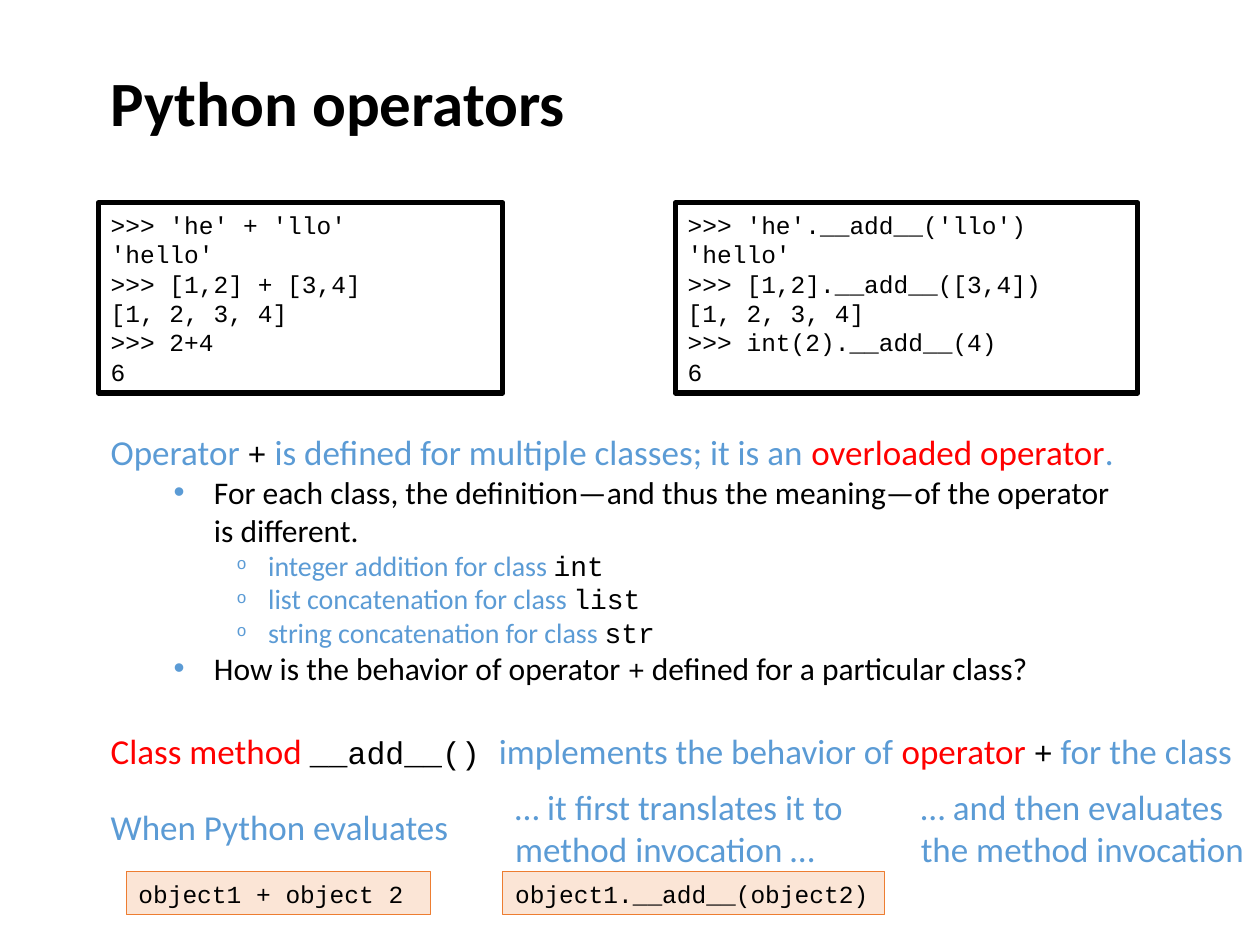
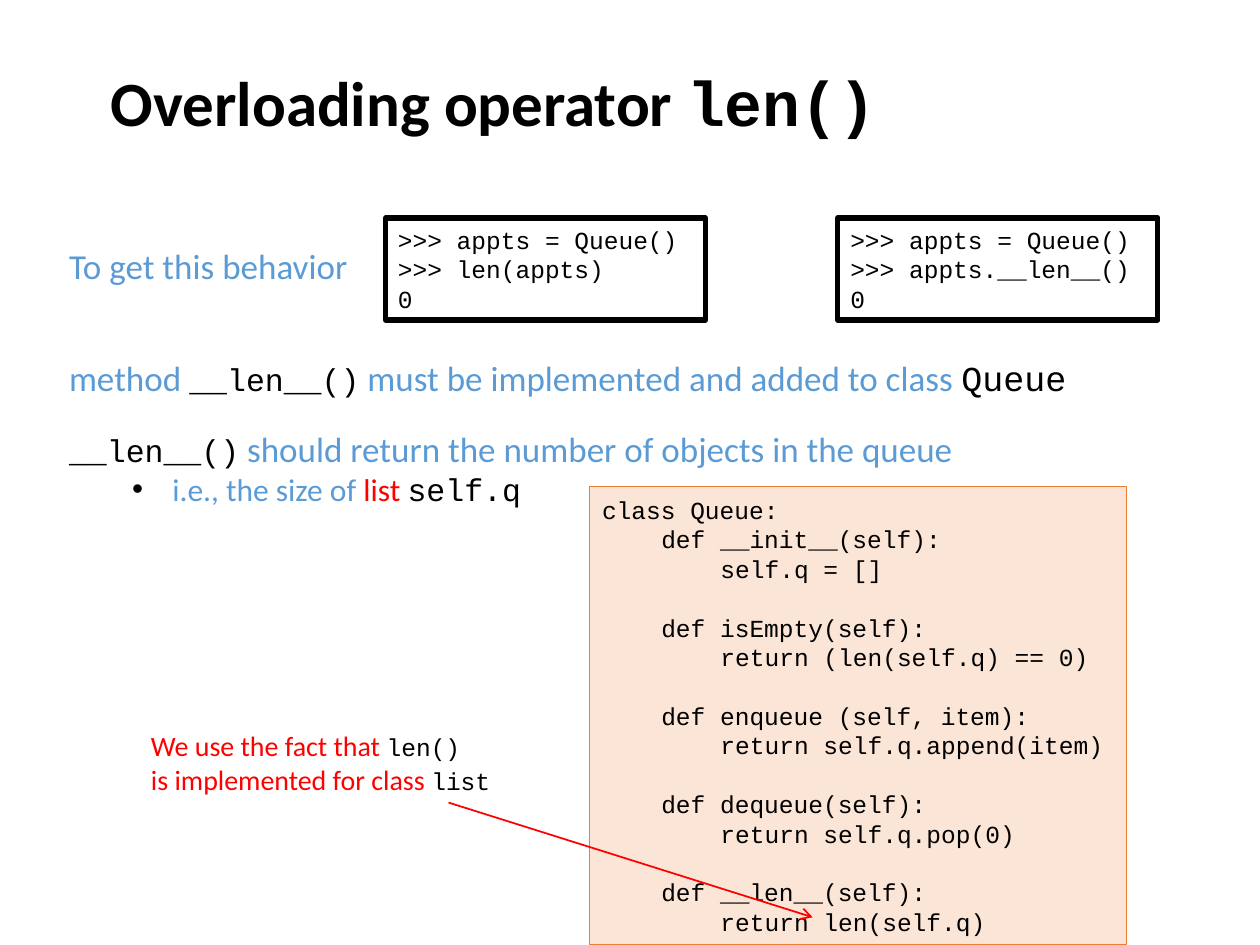
from dataclasses import dataclass, replace

from lxml.etree import SubElement
from pptx import Presentation
from pptx.dml.color import RGBColor
from pptx.enum.shapes import MSO_CONNECTOR, MSO_SHAPE
from pptx.enum.text import MSO_ANCHOR, MSO_AUTO_SIZE, PP_ALIGN
from pptx.oxml.ns import qn
from pptx.util import Emu, Pt

EMU_PER_PX = 9144  # 100 px to the inch

BLACK = RGBColor(0x00, 0x00, 0x00)
WHITE = RGBColor(0xFF, 0xFF, 0xFF)
BLUE = RGBColor(0x5B, 0x9B, 0xD5)
RED = RGBColor(0xFF, 0x00, 0x00)
PEACH = RGBColor(0xFB, 0xE5, 0xD6)
ORANGE = RGBColor(0xED, 0x7D, 0x31)

SANS, MONO = "Calibri", "Courier New"
CODE_STEP = 47  # width of four code characters
CODE_LINE = Pt(16.8)

TITLE_FORMAT = {"vertical_anchor": MSO_ANCHOR.MIDDLE, "word_wrap": True,
                "auto_size": MSO_AUTO_SIZE.NONE}
TEXT_FORMAT = {"vertical_anchor": MSO_ANCHOR.MIDDLE,
               "auto_size": MSO_AUTO_SIZE.SHAPE_TO_FIT_TEXT}


@dataclass(frozen=True)
class Style:
    size: int
    color: RGBColor
    name: str = SANS
    bold: bool = False


@dataclass(frozen=True)
class Bullet:
    level: int
    left: int
    hanging: int
    char: str
    font: str
    color: RGBColor = BLUE
    percent: int = 100


@dataclass(frozen=True)
class Para:
    runs: tuple
    bullet: Bullet | None = None
    indent: int = 0
    before: int = 0


@dataclass(frozen=True)
class Box:
    left: int
    top: int
    width: int
    height: int


@dataclass(frozen=True)
class Panel:
    fill: RGBColor
    line: RGBColor
    weight: float


HEAD = Style(36, BLACK, bold=True)
HEAD_CODE = replace(HEAD, name=MONO)
LEAD, LEAD_KEY = Style(20, BLUE), Style(20, RED)
POINT = Style(18, BLACK)
DETAIL = Style(16, BLUE)
NOTE = Style(16, RED)
CODE14, CODE16, CODE18, CODE20 = (Style(size, BLACK, MONO) for size in (14, 16, 18, 20))

DOT = Bullet(1, 82, 32, "•", "Arial")
BLACK_DOT = replace(DOT, color=BLACK)
RING = Bullet(2, 125, 25, "o", MONO, percent=60)

SHELL = Panel(WHITE, BLACK, 3)
SNIPPET = Panel(PEACH, ORANGE, 0.5)
TITLE_BOX = Box(78, 0, 872, 161)


def px(length: int) -> Emu:
    return Emu(length * EMU_PER_PX)


def place(box: Box) -> tuple:
    return px(box.left), px(box.top), px(box.width), px(box.height)


def add_bullet(paragraph, bullet: Bullet) -> None:
    paragraph.level = bullet.level
    props = paragraph._p.get_or_add_pPr()
    props.set("marL", str(px(bullet.left)))
    props.set("indent", str(px(-bullet.hanging)))
    tint = SubElement(props, qn("a:buClr"))
    SubElement(tint, qn("a:srgbClr"), val=str(bullet.color))
    SubElement(props, qn("a:buSzPct"), val=str(bullet.percent * 1000))
    SubElement(props, qn("a:buFont"), typeface=bullet.font)
    SubElement(props, qn("a:buChar"), char=bullet.char)


def write(frame, paras: list[Para], frame_format: dict) -> None:
    for name, value in frame_format.items():
        setattr(frame, name, value)
    for index, para in enumerate(paras):
        paragraph = frame.add_paragraph() if index else frame.paragraphs[0]
        paragraph.alignment = PP_ALIGN.LEFT
        if para.before:
            paragraph.space_before = para.before
        if para.indent:
            paragraph._p.get_or_add_pPr().set("marL", str(px(para.indent)))
        if para.bullet:
            add_bullet(paragraph, para.bullet)
        for text, style in para.runs:
            run = paragraph.add_run()
            run.text = text
            font = run.font
            font.color.rgb = style.color
            for name, value in {"name": style.name, "size": Pt(style.size),
                                "bold": style.bold}.items():
                setattr(font, name, value)


def line(*runs: tuple, bullet: Bullet | None = None) -> Para:
    return Para(runs, bullet)


def code(*rows: str | tuple[int, str]) -> list[Para]:
    """Indent (depth, text) rows, and open a gap before each later 'def'."""
    paras = []
    for index, row in enumerate(rows):
        depth, text = (0, row) if isinstance(row, str) else row
        gap = CODE_LINE if index > 1 and text.startswith("def ") else 0
        paras.append(Para(((text, CODE14),), indent=depth * CODE_STEP, before=gap))
    return paras


def add_titled_slide(deck, *runs: tuple):
    slide = deck.slides.add_slide(deck.slide_layouts[5])
    title = slide.shapes.title
    title.left, title.top, title.width, title.height = place(TITLE_BOX)
    write(title.text_frame, [line(*runs)], TITLE_FORMAT)
    return slide


def add_text(slide, box: Box, *paras: Para, wrap: bool = False) -> None:
    frame = slide.shapes.add_textbox(*place(box)).text_frame
    write(frame, list(paras), TEXT_FORMAT | {"word_wrap": wrap})


def add_panel(slide, box: Box, panel: Panel, paras: list[Para]) -> None:
    shape = slide.shapes.add_shape(MSO_SHAPE.RECTANGLE, *place(box))
    shape.shadow.inherit = False
    shape.fill.solid()
    shape.fill.fore_color.rgb = panel.fill
    shape.line.color.rgb = panel.line
    shape.line.width = Pt(panel.weight)
    write(shape.text_frame, paras, TEXT_FORMAT | {"word_wrap": True})


def add_arrow(slide, start: tuple[int, int], end: tuple[int, int]) -> None:
    arrow = slide.shapes.add_connector(MSO_CONNECTOR.STRAIGHT, *map(px, start + end))
    arrow.line.color.rgb = RED
    arrow.line.width = Pt(1)
    SubElement(arrow.line._get_or_add_ln(), qn("a:tailEnd"), type="arrow")
    SubElement(arrow._element.spPr, qn("a:effectLst"))


def build_operators(deck) -> None:
    slide = add_titled_slide(deck, ("Python operators", HEAD))
    add_panel(slide, Box(78, 161, 321, 151), SHELL, code(
        ">>> 'he' + 'llo'", "'hello'", ">>> [1,2] + [3,4]",
        "[1, 2, 3, 4]", ">>> 2+4", "6"))
    add_panel(slide, Box(536, 161, 367, 151), SHELL, code(
        ">>> 'he'.__add__('llo')", "'hello'", ">>> [1,2].__add__([3,4])",
        "[1, 2, 3, 4]", ">>> int(2).__add__(4)", "6"))

    meanings = [line((f"{action} for class ", DETAIL), (kind, CODE16), bullet=RING)
                for action, kind in (("integer addition", "int"),
                                     ("list concatenation", "list"),
                                     ("string concatenation", "str"))]
    add_text(
        slide, Box(78, 334, 826, 219),
        line(("Operator ", LEAD), ("+", CODE18),
             (" is defined for multiple classes; it is an ", LEAD),
             ("overloaded operator", LEAD_KEY), (".", LEAD)),
        line(("For each class, the definition—and thus the meaning—of the "
              "operator is different.", POINT), bullet=DOT),
        *meanings,
        line(("How is the behavior of operator ", POINT), ("+", CODE16),
             (" defined for a particular class?", POINT), bullet=DOT),
        wrap=True)
    add_text(slide, Box(78, 574, 920, 44), line(
        ("Class method ", LEAD_KEY), ("__add__() ", CODE18),
        ("implements the behavior of ", LEAD), ("operator ", LEAD_KEY),
        ("+", CODE18), (" for the class", LEAD)))

    add_panel(slide, Box(100, 692, 242, 34), SNIPPET, code("object1 + object 2"))
    add_panel(slide, Box(399, 692, 303, 34), SNIPPET, code("object1.__add__(object2)"))
    add_text(slide, Box(78, 634, 291, 44), line(("When Python evaluates", LEAD)))
    add_text(slide, Box(399, 618, 284, 77),
             line(("… it first translates it to method invocation …", LEAD)), wrap=True)
    add_text(slide, Box(721, 618, 280, 77),
             line(("… and then evaluates", LEAD)),
             line(("the method invocation", LEAD)))


def build_len(deck) -> None:
    slide = add_titled_slide(deck, ("Overloading operator ", HEAD), ("len()", HEAD_CODE))
    add_text(slide, Box(45, 189, 246, 44), line(("To get this behavior", LEAD)))
    add_text(slide, Box(45, 278, 820, 44), line(
        ("method ", LEAD), ("__len__()", CODE18),
        (" must be implemented and added to class ", LEAD), ("Queue", CODE20)))
    for left, call in ((665, "appts.__len__()"), (306, "len(appts)")):
        add_panel(slide, Box(left, 173, 254, 81), SHELL,
                  code(">>> appts = Queue()", f">>> {call}", "0"))
    add_text(
        slide, Box(45, 334, 874, 74),
        line(("__len__()", CODE18),
             (" should return the number of objects in the queue", LEAD)),
        line(("i.e., the size of ", replace(POINT, color=BLUE)),
             ("list ", replace(POINT, color=RED)), ("self.q", CODE18), bullet=BLACK_DOT),
        wrap=True)
    add_panel(slide, Box(468, 386, 426, 364), SNIPPET, code(
        "class Queue:",
        (1, "def __init__(self):"), (2, "self.q = []"),
        (1, "def isEmpty(self):"), (2, "return (len(self.q) == 0)"),
        (1, "def enqueue (self, item):"), (2, "return self.q.append(item)"),
        (1, "def dequeue(self):"), (2, "return self.q.pop(0)"),
        (1, "def __len__(self):"), (2, "return len(self.q)")))
    add_text(slide, Box(110, 573, 300, 64),
             line(("We use the fact that ", NOTE), ("len()", CODE14)),
             line(("is implemented for class ", NOTE), ("list", CODE14)))
    add_arrow(slide, (356, 637), (645, 728))


def main() -> None:
    deck = Presentation()
    deck.slide_width, deck.slide_height = px(1000), px(750)
    build_operators(deck)
    build_len(deck)
    deck.save("out.pptx")


if __name__ == "__main__":
    main()
